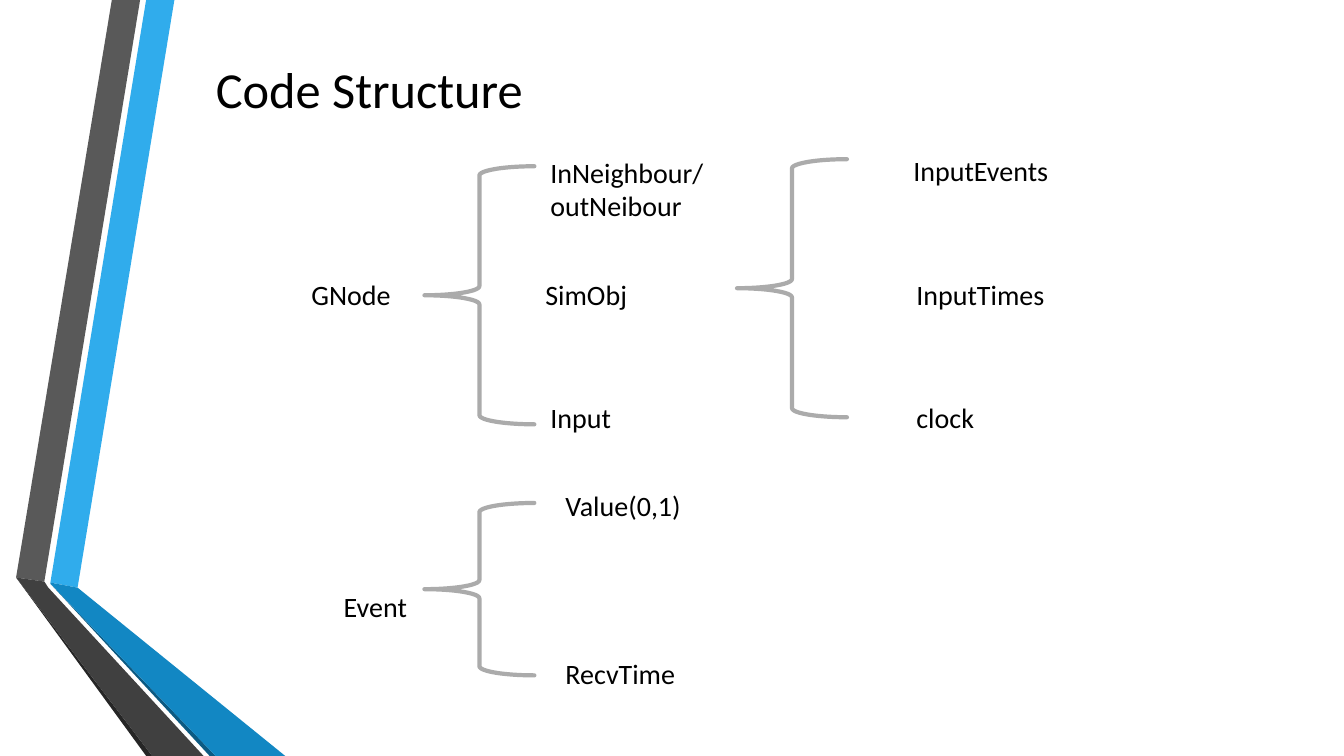
from dataclasses import dataclass

from pptx import Presentation
from pptx.dml.color import RGBColor
from pptx.enum.shapes import MSO_SHAPE
from pptx.enum.text import MSO_ANCHOR, PP_ALIGN
from pptx.util import Inches, Pt


@dataclass(frozen=True)
class Theme:
    font: str = "Calibri"
    text: str = "000000"
    brace: str = "ABABAB"
    title_size: int = 36
    label_size: int = 20
    brace_width: int = 3


THEME = Theme()
WIDTH, HEIGHT = 13.33, 7.5

# Content: label, left column, row
TITLE = "Code Structure"
COLUMNS = {
    "gnode": 2.99, "event": 3.31, "simobj": 5.31, "member": 5.36,
    "field": 5.51, "events": 8.96, "detail": 8.99,
}
ROWS = {
    "top_detail": 1.47, "top": 1.49, "middle": 2.7, "bottom": 3.92,
    "value": 4.8, "event": 5.8, "time": 6.46,
}
LABELS = [
    ("GNode", "gnode", "middle"),
    ("InNeighbour/outNeibour", "member", "top"),
    ("SimObj", "simobj", "middle"),
    ("Input", "member", "bottom"),
    ("InputEvents", "events", "top_detail"),
    ("InputTimes", "detail", "middle"),
    ("clock", "detail", "bottom"),
    ("Event", "event", "event"),
    ("Value(0,1)", "field", "value"),
    ("RecvTime", "field", "time"),
]
LABEL_WIDTH, LINE_HEIGHT = 1.82, 0.44

# Braces: left, top, height
BRACES = [(4.21, 1.65, 2.56), (7.31, 1.58, 2.56), (4.21, 4.99, 1.71)]
BRACE_WIDTH = 1.09

# Folded ribbons on the left edge: colour, corner points
RIBBONS = [
    ("30ACEC", [(0.5, 5.78), (0.77, 5.83), (1.73, 0), (1.45, 0)]),
    ("595959", [(1.39, 0), (1.11, 0), (0.16, 5.73), (0.44, 5.77)]),
    ("262626", [(0.16, 5.73), (1.45, HEIGHT), (1.51, HEIGHT)]),
    ("0C5A82", [(0.5, 5.79), (2.08, HEIGHT), (2.14, HEIGHT)]),
    ("1287C3", [(0.5, 5.79), (2.14, HEIGHT), (2.83, HEIGHT), (0.77, 5.83), (0.5, 5.78)]),
    ("404040", [(2.02, HEIGHT), (0.48, 5.83), (0.44, 5.77), (0.16, 5.73), (1.51, HEIGHT)]),
]


def color(value):
    return RGBColor.from_string(value)


def write(frame, text, size):
    frame.word_wrap = True
    paragraph = frame.paragraphs[0]
    paragraph.alignment = PP_ALIGN.LEFT
    run = paragraph.add_run()
    run.text = text
    run.font.name = THEME.font
    run.font.size = Pt(size)
    run.font.color.rgb = color(THEME.text)


def add_title(slide):
    title = slide.shapes.title
    title.left, title.top = Inches(2.04), Inches(0.31)
    title.width, title.height = Inches(10.54), Inches(1.13)
    title.text_frame.vertical_anchor = MSO_ANCHOR.MIDDLE
    write(title.text_frame, TITLE, THEME.title_size)


def add_ribbon(slide, fill, corners):
    points = [(Inches(x), Inches(y)) for x, y in corners]
    builder = slide.shapes.build_freeform(*points[0])
    builder.add_line_segments(points[1:], close=True)
    ribbon = builder.convert_to_shape()
    ribbon.shadow.inherit = False
    ribbon.fill.solid()
    ribbon.fill.fore_color.rgb = color(fill)
    ribbon.line.fill.background()


def add_brace(slide, left, top, height):
    brace = slide.shapes.add_shape(
        MSO_SHAPE.LEFT_BRACE, Inches(left), Inches(top), Inches(BRACE_WIDTH), Inches(height))
    brace.shadow.inherit = False
    brace.fill.background()
    brace.line.color.rgb = color(THEME.brace)
    brace.line.width = Pt(THEME.brace_width)
    brace.line._get_or_add_ln().set("cap", "rnd")


def add_label(slide, text, column, row):
    box = slide.shapes.add_textbox(
        Inches(COLUMNS[column]), Inches(ROWS[row]), Inches(LABEL_WIDTH), Inches(LINE_HEIGHT))
    write(box.text_frame, text, THEME.label_size)


def main():
    presentation = Presentation()
    presentation.slide_width, presentation.slide_height = Inches(WIDTH), Inches(HEIGHT)
    slide = presentation.slides.add_slide(presentation.slide_layouts[5])

    # Decoration, then heading
    for ribbon in RIBBONS:
        add_ribbon(slide, *ribbon)
    add_title(slide)

    # Structure tree
    for brace in BRACES:
        add_brace(slide, *brace)
    for label in LABELS:
        add_label(slide, *label)

    presentation.save("out.pptx")


if __name__ == "__main__":
    main()
